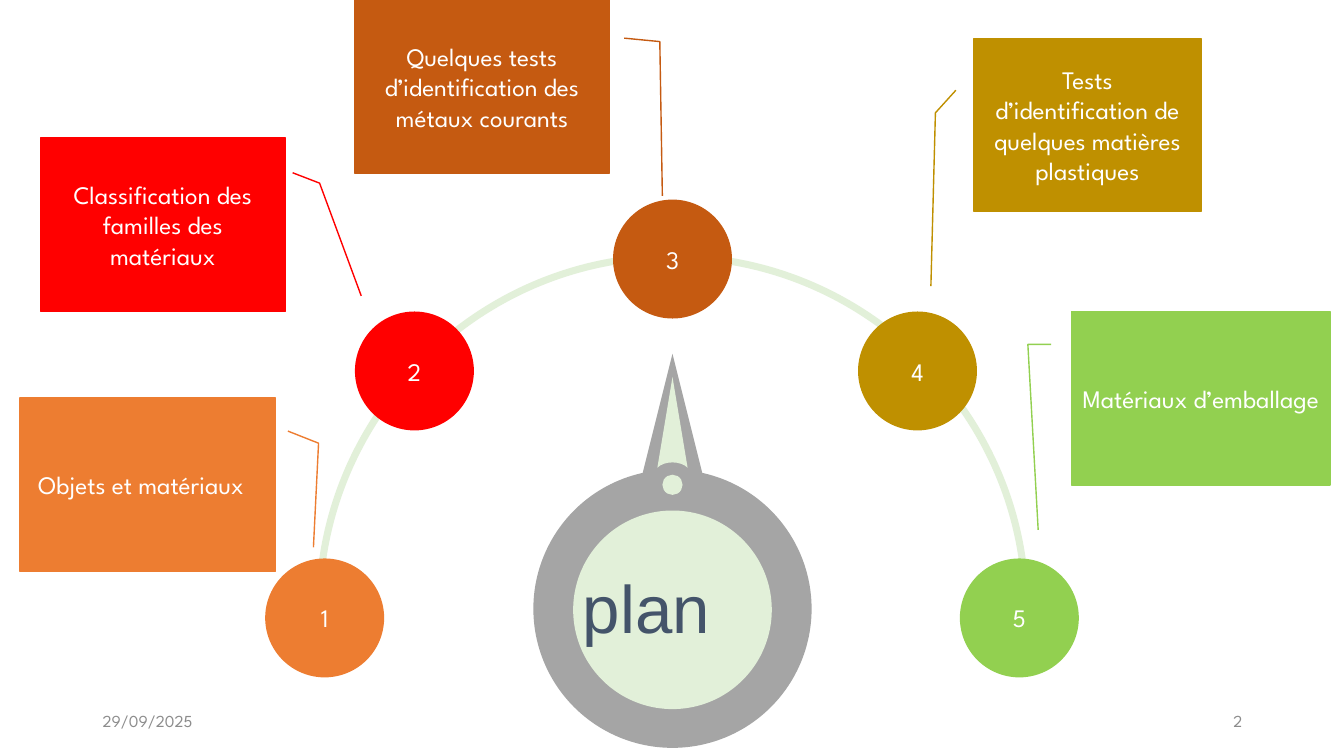
from lxml.etree import SubElement
from pptx import Presentation
from pptx.dml.color import RGBColor
from pptx.enum.shapes import MSO_SHAPE
from pptx.enum.text import MSO_ANCHOR, MSO_AUTO_SIZE, PP_ALIGN
from pptx.oxml.ns import qn
from pptx.util import Inches, Pt


class Theme:
    font = "League Spartan"
    title_font = "Arial"
    body_size, title_size, footer_size = 18, 48, 12
    white, grey, pale = "FFFFFF", "A5A5A5", "E2F0D9"
    title, footer = "44546A", "8C8C8C"


TITLE = "plan"
# text, colour, disc (left, top), box (left, top, width),
# leader points as fractions of the box (y, x, y, x, y, x)
STEPS = [
    ("Objets et matériaux", "ED7D31", (2.63, 5.54), (0.2, 3.95, 2.53),
     (0.19, 1.05, 0.26, 1.17, 0.86, 1.15)),
    ("Classification des familles des matériaux", "FF0000", (3.52, 3.09), (0.4, 1.37, 2.43),
     (0.2, 1.03, 0.26, 1.14, 0.91, 1.31)),
    ("Quelques tests d’identification des métaux courants", "C55A11", (6.08, 1.98), (3.52, 0, 2.52),
     (0.22, 1.06, 0.24, 1.2, 1.13, 1.21)),
    ("Tests d’identification de quelques matières plastiques", "BF9000", (8.51, 3.09), (9.66, 0.38, 2.25),
     (0.3, -0.08, 0.43, -0.17, 1.43, -0.19)),
    ("Matériaux d’emballage", "92D050", (9.52, 5.54), (10.63, 3.09, 2.56),
     (0.19, -0.08, 0.19, -0.17, 1.26, -0.13)),
]
FOOTERS = [("29/09/2025", 0.92, PP_ALIGN.LEFT), ("2", 9.42, PP_ALIGN.RIGHT)]

DISC, BOX_HEIGHT = 1.18, 1.72
CENTRE_X, ARC_Y, ARC_RADIUS, ARC_WIDTH = 6.67, 6.05, 3.54, 0.07
DIAL_Y, HUB_Y = 6.04, 4.81
QUARTER = 0.55  # control distance of a quarter circle, as a share of its radius


def paint(shape, colour, line=None):
    shape.shadow.inherit = False
    shape.fill.solid()
    shape.fill.fore_color.rgb = RGBColor.from_string(colour)
    if line:
        shape.line.color.rgb = RGBColor.from_string(line)
        shape.line.width = Pt(1)
    else:
        shape.line.fill.background()


def write(shape, text, size, colour, align, anchor=MSO_ANCHOR.MIDDLE, font=Theme.font):
    frame = shape.text_frame
    frame.word_wrap = True
    frame.vertical_anchor = anchor
    para = frame.paragraphs[0]
    para.text = text
    para.alignment = align
    para.font.name = font
    para.font.size = Pt(size)
    para.font.color.rgb = RGBColor.from_string(colour)


def add_shape(page, kind, left, top, width, height, colour, line=None):
    shape = page.shapes.add_shape(kind, Inches(left), Inches(top), Inches(width), Inches(height))
    paint(shape, colour, line)
    return shape


def add_circle(page, centre_y, diameter, colour):
    radius = diameter / 2
    add_shape(page, MSO_SHAPE.OVAL, CENTRE_X - radius, centre_y - radius, diameter, diameter, colour)


def add_outline(page, start, segments, colour):
    """Draw a closed outline; a segment is one point (line) or three (curve)."""
    builder = page.shapes.build_freeform(Inches(start[0]), Inches(start[1]))
    points = [point for segment in segments for point in segment]
    builder.add_line_segments([(Inches(x), Inches(y)) for x, y in points], close=True)
    shape = builder.convert_to_shape()
    lines = iter(list(shape._element.iter(qn("a:lnTo"))))
    for segment in segments:
        first, *others = [next(lines) for _ in segment]
        if others:
            curve = SubElement(first.getparent(), qn("a:cubicBezTo"))
            first.addprevious(curve)
            for line in (first, *others):
                curve.append(line[0])
                line.getparent().remove(line)
    paint(shape, colour)


def half_circle(radius, side):
    """Two curves over the top, from the given side (1 right, -1 left) to the other."""
    reach, top = radius * QUARTER, ARC_Y - radius
    near, far = CENTRE_X + side * radius, CENTRE_X - side * radius
    return [
        [(near, ARC_Y - reach), (CENTRE_X + side * reach, top), (CENTRE_X, top)],
        [(CENTRE_X - side * reach, top), (far, ARC_Y - reach), (far, ARC_Y)],
    ]


def add_arc(page):
    inner = ARC_RADIUS - ARC_WIDTH
    segments = half_circle(ARC_RADIUS, 1) + [[(CENTRE_X - inner, ARC_Y)]] + half_circle(inner, -1)
    add_outline(page, (CENTRE_X + ARC_RADIUS, ARC_Y), segments, Theme.pale)


def add_step(page, number, text, colour, disc, box, leader):
    circle = add_shape(page, MSO_SHAPE.OVAL, *disc, DISC, DISC, colour)
    write(circle, str(number), Theme.body_size, Theme.white, PP_ALIGN.CENTER)
    callout = add_shape(page, MSO_SHAPE.LINE_CALLOUT_2, *box, BOX_HEIGHT, colour, colour)
    for index, value in enumerate(leader):
        callout.adjustments[index] = value
    write(callout, text, Theme.body_size, Theme.white, PP_ALIGN.CENTER)
    if number == 1:
        callout.text_frame.margin_right = Inches(0.23)


def add_dial(page):
    add_shape(page, MSO_SHAPE.ISOSCELES_TRIANGLE, CENTRE_X - 0.3, 3.51, 0.6, 1.2, Theme.grey)
    needle = [
        [(CENTRE_X + 0.15, 4.64)],
        [(CENTRE_X + 0.08, 4.57), (CENTRE_X - 0.08, 4.57), (CENTRE_X - 0.15, 4.64)],
    ]
    add_outline(page, (CENTRE_X, 3.74), needle, Theme.pale)
    add_circle(page, DIAL_Y, 2.76, Theme.grey)
    add_circle(page, DIAL_Y + 0.01, 1.97, Theme.pale)
    add_circle(page, HUB_Y, 0.2, Theme.pale)


def add_title(page):
    title = page.shapes.title
    title.left, title.top, title.width, title.height = map(Inches, (5.68, 5.57, 2.42, 0.91))
    write(title, TITLE, Theme.title_size, Theme.title, PP_ALIGN.LEFT, MSO_ANCHOR.TOP, Theme.title_font)
    title.text_frame.auto_size = MSO_AUTO_SIZE.NONE
    # Bring the title in front of the dial
    page.shapes._spTree.append(title._element)


def main():
    deck = Presentation()
    deck.slide_width, deck.slide_height = Inches(13.33), Inches(7.5)
    page = deck.slides.add_slide(deck.slide_layouts[5])

    add_arc(page)
    for number, step in enumerate(STEPS, start=1):
        add_step(page, number, *step)
    add_dial(page)
    add_title(page)
    for text, left, align in FOOTERS:
        box = page.shapes.add_textbox(Inches(left), Inches(6.95), Inches(3), Inches(0.4))
        write(box, text, Theme.footer_size, Theme.footer, align)
    deck.save("out.pptx")


if __name__ == "__main__":
    main()
